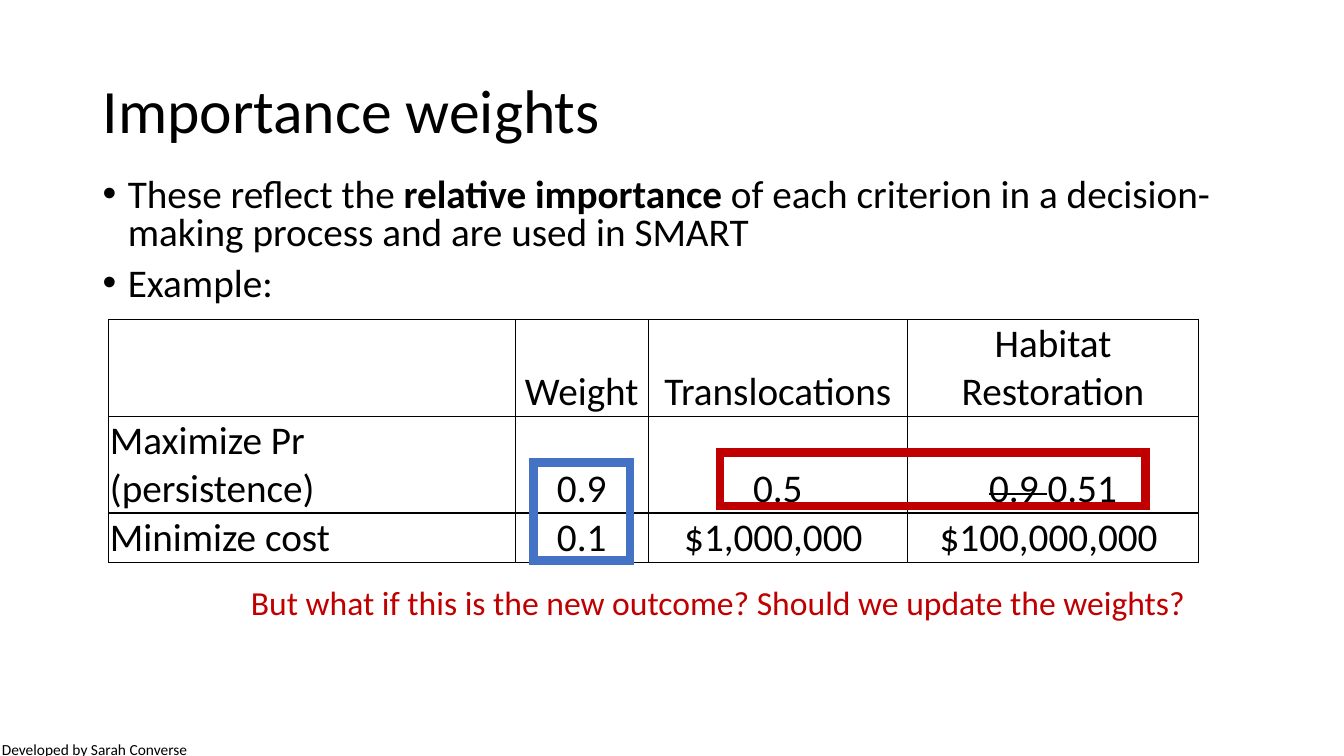
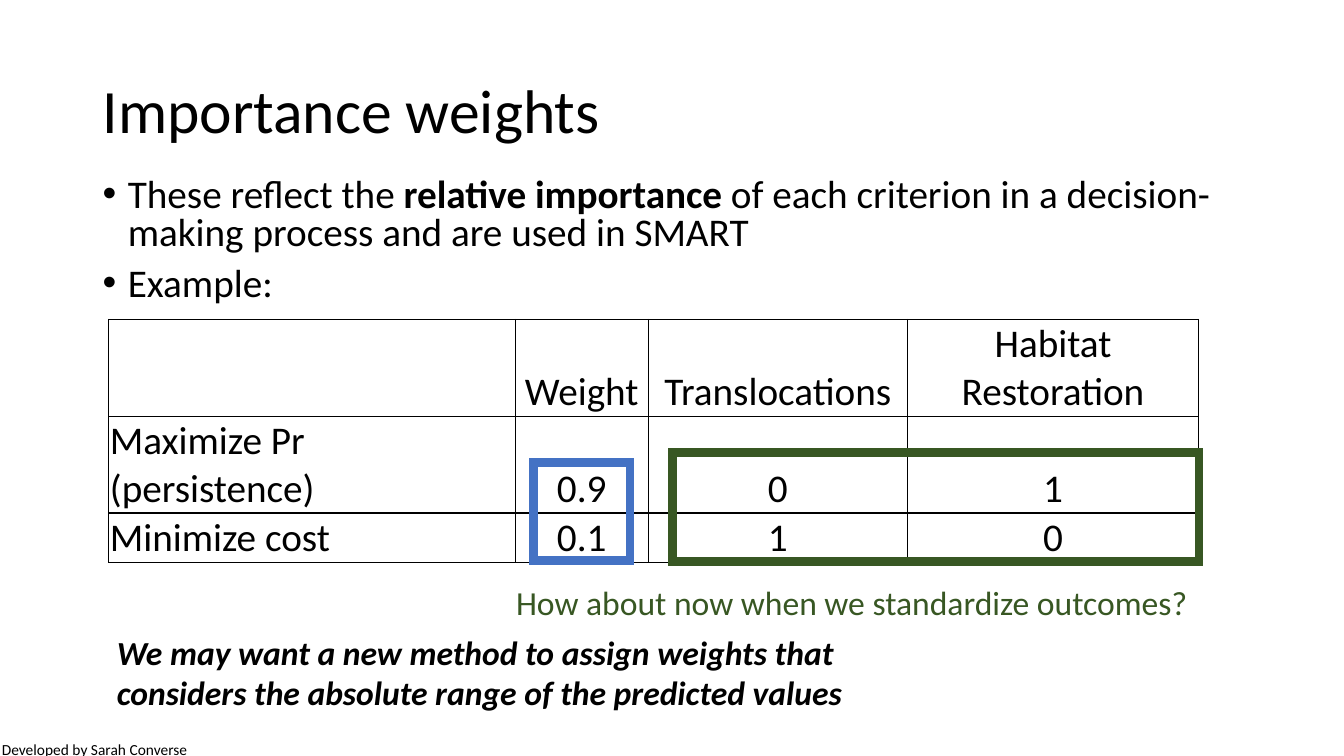
from lxml import etree
from pptx import Presentation
from pptx.dml.color import RGBColor
from pptx.enum.shapes import MSO_SHAPE
from pptx.enum.text import MSO_ANCHOR, PP_ALIGN
from pptx.oxml.ns import qn
from pptx.util import Inches, Pt

RECTANGLE = MSO_SHAPE.RECTANGLE
TOP, MIDDLE, BOTTOM = MSO_ANCHOR.TOP, MSO_ANCHOR.MIDDLE, MSO_ANCHOR.BOTTOM
LEFT, CENTER = PP_ALIGN.LEFT, PP_ALIGN.CENTER

FONT = "Calibri"
BLACK = RGBColor(0x00, 0x00, 0x00)
BLUE = RGBColor(0x44, 0x72, 0xC4)
RED = RGBColor(0xC0, 0x00, 0x00)
GREEN = RGBColor(0x38, 0x57, 0x23)

# Shared content: a paragraph is a list of (text, styles) spans
TITLE = "Importance weights"
FOOTER = "Developed by Sarah Converse"
BULLETS = [
    [("These reflect the ", ""), ("relative importance", "bold"),
     (" of each criterion in a decision-making process and are used in SMART", "")],
    [("Example:", "")],
]
HEADERS = ["", "Weight", "Translocations", "Habitat Restoration"]
CRITERIA = [("Maximize Pr (persistence)", "0.9"), ("Minimize cost", "0.1")]
COLUMN_WIDTHS = [4.03, 1.32, 2.57, 2.89]
ROW_HEIGHTS = [0.96, 0.96, 0.49]
TABLE_LEFT, TABLE_TOP = 1.08, 3.17
WEIGHTS_FRAME = (5.29, 4.59, 0.96, 0.97)

# What differs from slide to slide
SLIDES = [
    {
        "outcomes": [("0.5", [("0.9 ", "strike"), ("0.51", "")]),
                     ("$1,000,000 ", "$100,000,000 ")],
        "color": RED,
        "frame": (7.14, 4.49, 4.22, 0.53),
        "question": "But what if this is the new outcome? Should we update the weights?",
        "question_at": (2.39, 5.72, 9.5, 0.5),
        "conclusion": None,
    },
    {
        "outcomes": [("0", "1"), ("1", "0")],
        "color": GREEN,
        "frame": (6.67, 4.49, 5.22, 1.08),
        "question": "How about now when we standardize outcomes?",
        "question_at": (5.02, 5.72, 6.86, 0.5),
        "conclusion": "We may want a new method to assign weights that "
                      "considers the absolute range of the predicted values",
    },
]


def inches(lengths):
    return [Inches(length) for length in lengths]


def write(para, content, size, color=BLACK, styles=""):
    """Fill a paragraph with a string or a list of (text, styles) spans."""
    spans = [(content, styles)] if isinstance(content, str) else content
    for text, style in spans:
        span = para.add_run()
        span.text = text
        font = span.font
        font.name, font.size, font.color.rgb = FONT, Pt(size), color
        font.bold = "bold" in style
        font.italic = "italic" in style
        if "strike" in style:
            span.font._element.set("strike", "sngStrike")


def add_text(page, at, paragraphs, size, color=BLACK, styles="", anchor=TOP):
    frame = page.shapes.add_textbox(*inches(at)).text_frame
    frame.word_wrap = True
    frame.vertical_anchor = anchor
    for index, content in enumerate(paragraphs):
        para = frame.add_paragraph() if index else frame.paragraphs[0]
        write(para, content, size, color, styles)
    return frame


def add_bullets(page):
    frame = add_text(page, (0.92, 1.72, 11.5, 1.45), BULLETS, 28)
    for index, para in enumerate(frame.paragraphs):
        properties = para._p.get_or_add_pPr()
        properties.set("marL", str(Inches(0.25)))
        properties.set("indent", str(Inches(-0.25)))
        etree.SubElement(properties, qn("a:buFont"), typeface="Arial")
        etree.SubElement(properties, qn("a:buChar"), char="•")
        para.line_spacing = 0.8
        para.space_before = Pt(10 if index else 0)


def add_frame(page, at, color):
    box = page.shapes.add_shape(RECTANGLE, *inches(at))
    box.shadow.inherit = False
    box.fill.background()
    box.line.color.rgb = color
    box.line.width = Pt(6)
    # Square corners
    etree.SubElement(box.line._get_or_add_ln(), qn("a:miter"), lim="800000")


def add_borders(cell):
    properties = cell._tc.get_or_add_tcPr()
    for side in ("lnL", "lnR", "lnT", "lnB"):
        line = etree.SubElement(properties, qn("a:" + side), w=str(Pt(1)))
        fill = etree.SubElement(line, qn("a:solidFill"))
        etree.SubElement(fill, qn("a:srgbClr"), val=str(BLACK))


def add_weight_table(page, outcomes):
    rows = [HEADERS] + [[*criterion, *values]
                        for criterion, values in zip(CRITERIA, outcomes)]
    at = (TABLE_LEFT, TABLE_TOP, sum(COLUMN_WIDTHS), sum(ROW_HEIGHTS))
    table = page.shapes.add_table(len(rows), len(HEADERS), *inches(at)).table
    table.first_row = table.horz_banding = False
    for column, width in zip(table.columns, COLUMN_WIDTHS):
        column.width = Inches(width)
    for row, height, contents in zip(table.rows, ROW_HEIGHTS, rows):
        row.height = Inches(height)
        for index, (cell, content) in enumerate(zip(row.cells, contents)):
            add_borders(cell)
            cell.fill.background()
            cell.vertical_anchor = BOTTOM
            cell.margin_left = cell.margin_right = cell.margin_top = Inches(0.01)
            cell.margin_bottom = 0
            para = cell.text_frame.paragraphs[0]
            para.alignment = CENTER if index else LEFT
            if content:
                write(para, content, 28)


def build_slide(deck, content):
    page = deck.slides.add_slide(deck.slide_layouts[6])
    # Title and bullets
    title = add_text(page, (0.92, 0.4, 11.5, 1.45), [TITLE], 44, anchor=MIDDLE)
    title.paragraphs[0].line_spacing = 0.9
    add_bullets(page)
    # Table with highlighted weights and outcomes
    add_weight_table(page, content["outcomes"])
    add_frame(page, WEIGHTS_FRAME, BLUE)
    add_text(page, content["question_at"], [content["question"]], 24, content["color"])
    add_frame(page, content["frame"], content["color"])
    if content["conclusion"]:
        add_text(page, (1.06, 6.22, 7.92, 0.91), [content["conclusion"]], 24,
                 styles="bold italic")
    # Footer
    add_text(page, (-0.08, 7.29, 9.8, 0.29), [FOOTER], 11)


def main():
    deck = Presentation()
    deck.slide_width, deck.slide_height = Inches(13.33), Inches(7.5)
    for content in SLIDES:
        build_slide(deck, content)
    deck.save("out.pptx")


if __name__ == "__main__":
    main()
